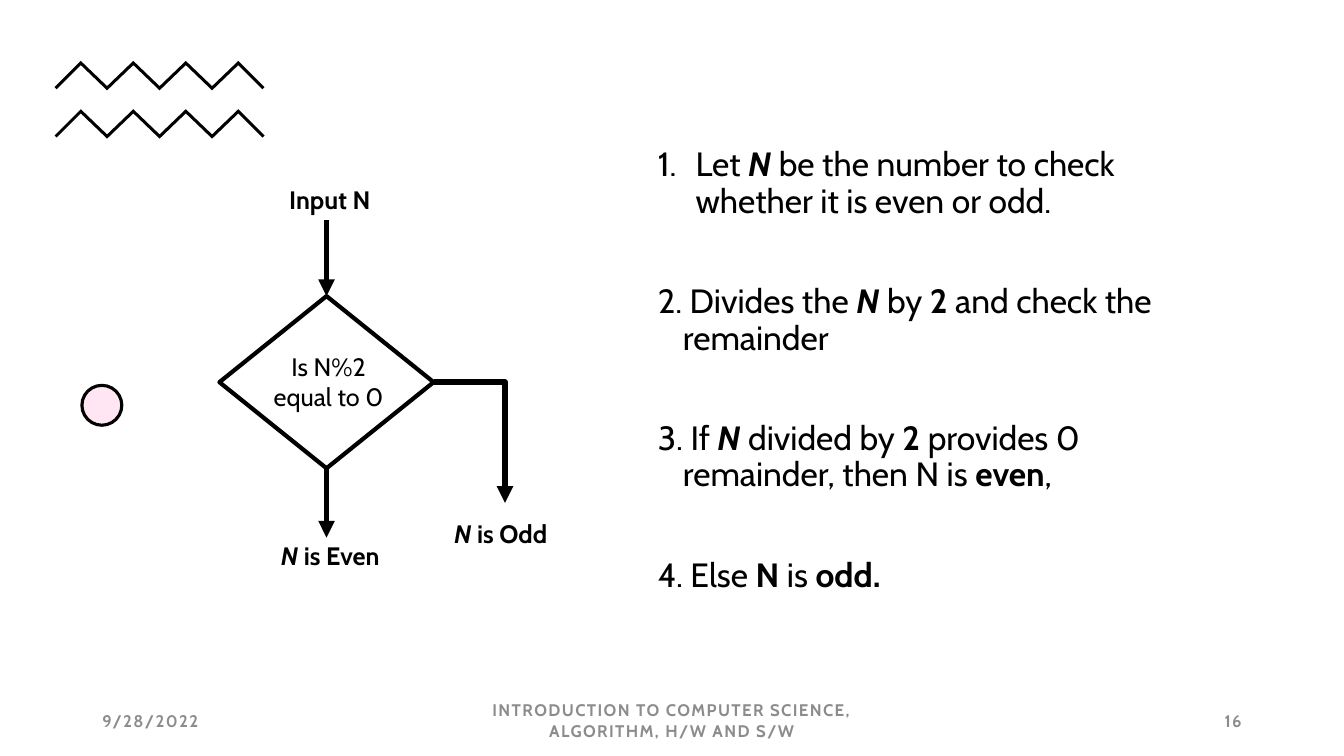
from dataclasses import dataclass
from typing import NamedTuple

from lxml.etree import SubElement
from pptx import Presentation
from pptx.dml.color import RGBColor
from pptx.enum.shapes import MSO_CONNECTOR, MSO_SHAPE
from pptx.enum.text import MSO_ANCHOR, MSO_AUTO_SIZE, PP_ALIGN
from pptx.oxml.ns import qn
from pptx.shapes.autoshape import Shape
from pptx.shapes.connector import Connector
from pptx.slide import Slide
from pptx.text.text import TextFrame, _Paragraph
from pptx.util import Emu, Pt

PX = 9525


@dataclass(frozen=True)
class Theme:
    font: str = "Cabin"
    ink: RGBColor = RGBColor(0x00, 0x00, 0x00)
    paper: RGBColor = RGBColor(0xFF, 0xFF, 0xFF)
    blush: RGBColor = RGBColor(0xFF, 0xE6, 0xF2)
    muted: RGBColor = RGBColor(0x8C, 0x8C, 0x8C)
    step_size: int = 24
    label_size: int = 18
    footer_size: int = 12
    circle_line: float = 2.25
    diamond_line: float = 3
    arrow_line: float = 4


THEME = Theme()


class Box(NamedTuple):
    left: int
    top: int
    width: int
    height: int


class Span(NamedTuple):
    text: str
    bold: bool = False
    italic: bool = False


class Step(NamedTuple):
    spans: list[Span]
    hanging: int = 24
    space_before: int = 46
    numbered: bool = False


class Label(NamedTuple):
    box: Box
    lines: list[list[Span]]
    align: PP_ALIGN = PP_ALIGN.LEFT


class Footer(NamedTuple):
    box: Box
    text: str
    align: PP_ALIGN


VARIABLE = Span("N", bold=True, italic=True)

STEPS_BOX = Box(617, 136, 548, 457)
STEPS = [
    Step([Span("Let "), VARIABLE,
          Span(" be the number to check whether it is even or odd.")],
         hanging=36, space_before=10, numbered=True),
    Step([Span("2. Divides the "), VARIABLE, Span(" by "), Span("2", True),
          Span(" and check the remainder")]),
    Step([Span("3. If "), VARIABLE, Span(" divided by "), Span("2", True),
          Span(" provides 0 remainder, then N is"), Span(" even", True), Span(",")]),
    Step([Span("4. Else "), Span("N", True), Span(" is "), Span("odd.", True)]),
]

LABELS = [
    Label(Box(266, 171, 103, 38), [[Span("Input N", True)]]),
    Label(Box(250, 330, 126, 68), [[Span("Is N%2")], [Span("equal to 0")]],
          PP_ALIGN.CENTER),
    Label(Box(258, 510, 129, 38), [[VARIABLE, Span(" is Even", True)]]),
    Label(Box(423, 489, 119, 38), [[VARIABLE, Span(" is Odd", True)]]),
]

FOOTERS = [
    Footer(Box(88, 667, 288, 38), "9/28/2022", PP_ALIGN.LEFT),
    Footer(Box(424, 667, 432, 38),
           "INTRODUCTION TO COMPUTER SCIENCE, ALGORITHM, H/W AND S/W", PP_ALIGN.CENTER),
    Footer(Box(904, 667, 288, 38), "16", PP_ALIGN.RIGHT),
]

ZIGZAG_TOPS = (58, 104)
DIAMOND = Box(209, 282, 204, 164)
CIRCLE = Box(78, 367, 38, 38)


def px(length: int) -> Emu:
    return Emu(length * PX)


def add_text_frame(slide: Slide, box: Box) -> TextFrame:
    frame = slide.shapes.add_textbox(*map(px, box)).text_frame
    frame.word_wrap = True
    return frame


def next_paragraph(frame: TextFrame, index: int) -> _Paragraph:
    return frame.add_paragraph() if index else frame.paragraphs[0]


def write_spans(paragraph: _Paragraph, spans: list[Span], size: int,
                color: RGBColor = THEME.ink) -> None:
    for span in spans:
        run = paragraph.add_run()
        run.text = span.text
        run.font.name = THEME.font
        run.font.size = Pt(size)
        run.font.bold = span.bold
        run.font.italic = span.italic
        run.font.color.rgb = color


def add_outlined(slide: Slide, preset: MSO_SHAPE, box: Box,
                 fill: RGBColor, line_width: float) -> Shape:
    shape = slide.shapes.add_shape(preset, *map(px, box))
    shape.shadow.inherit = False
    shape.fill.solid()
    shape.fill.fore_color.rgb = fill
    shape.line.color.rgb = THEME.ink
    shape.line.width = Pt(line_width)
    return shape


def add_zigzag(slide: Slide, top: int) -> None:
    """Draw a band of four peaks as one filled outline."""
    thickness, rise = 4, 24
    ridge = [(77 + 25 * i, top + rise * (i % 2)) for i in range(7)]
    underside = [(x, y + thickness) for x, y in reversed(ridge)]
    outline = [*ridge, (252, top + 25), (250, top + 27), *underside, (54, top + 27)]
    builder = slide.shapes.build_freeform(52, top + 25, scale=PX)
    builder.add_line_segments(outline, close=True)
    band = builder.convert_to_shape()
    band.shadow.inherit = False
    band.fill.solid()
    band.fill.fore_color.rgb = THEME.ink
    band.line.fill.background()


def add_arrow(slide: Slide, kind: MSO_CONNECTOR, start: tuple[int, int],
              end: tuple[int, int]) -> Connector:
    arrow = slide.shapes.add_connector(kind, *map(px, start + end))
    arrow.line.color.rgb = THEME.ink
    arrow.line.width = Pt(THEME.arrow_line)
    properties = arrow._element.spPr
    SubElement(properties.find(qn("a:ln")), qn("a:tailEnd"), type="triangle")
    SubElement(properties, qn("a:effectLst"))
    return arrow


def add_flowchart(slide: Slide) -> None:
    diamond = add_outlined(slide, MSO_SHAPE.DIAMOND, DIAMOND,
                           THEME.paper, THEME.diamond_line)
    center = DIAMOND.left + DIAMOND.width // 2
    middle = DIAMOND.top + DIAMOND.height // 2
    right, bottom = DIAMOND.left + DIAMOND.width, DIAMOND.top + DIAMOND.height

    to_question = add_arrow(slide, MSO_CONNECTOR.STRAIGHT, (center, 210), (center, DIAMOND.top))
    to_question.end_connect(diamond, 0)
    to_even = add_arrow(slide, MSO_CONNECTOR.STRAIGHT, (center, bottom), (center, 512))
    to_even.begin_connect(diamond, 2)
    to_odd = add_arrow(slide, MSO_CONNECTOR.ELBOW, (right, middle), (481, 479))
    to_odd._element.spPr.find(qn("a:prstGeom")).set("prst", "bentConnector2")

    for label in LABELS:
        frame = add_text_frame(slide, label.box)
        frame.word_wrap = False
        frame.auto_size = MSO_AUTO_SIZE.SHAPE_TO_FIT_TEXT
        for index, spans in enumerate(label.lines):
            paragraph = next_paragraph(frame, index)
            paragraph.alignment = label.align
            write_spans(paragraph, spans, THEME.label_size)


def add_steps(slide: Slide) -> None:
    frame = add_text_frame(slide, STEPS_BOX)
    for index, step in enumerate(STEPS):
        paragraph = next_paragraph(frame, index)
        paragraph.line_spacing = 0.9
        paragraph.space_before = Pt(step.space_before)
        write_spans(paragraph, step.spans, THEME.step_size)
        properties = paragraph._p.get_or_add_pPr()
        properties.set("marL", str(px(step.hanging)))
        properties.set("indent", str(-px(step.hanging)))
        if step.numbered:
            SubElement(properties, qn("a:buFont"), typeface=THEME.font)
            SubElement(properties, qn("a:buAutoNum"), type="arabicPeriod")


def add_footer(slide: Slide, footer: Footer) -> None:
    frame = add_text_frame(slide, footer.box)
    frame.vertical_anchor = MSO_ANCHOR.MIDDLE
    paragraph = frame.paragraphs[0]
    paragraph.alignment = footer.align
    write_spans(paragraph, [Span(footer.text, True)], THEME.footer_size, THEME.muted)
    paragraph.runs[0]._r.get_or_add_rPr().set("spc", "100")


def main() -> None:
    deck = Presentation()
    deck.slide_width, deck.slide_height = px(1280), px(720)
    slide = deck.slides.add_slide(deck.slide_layouts[6])
    add_outlined(slide, MSO_SHAPE.OVAL, CIRCLE, THEME.blush, THEME.circle_line)
    for top in ZIGZAG_TOPS:
        add_zigzag(slide, top)
    add_steps(slide)
    for footer in FOOTERS:
        add_footer(slide, footer)
    add_flowchart(slide)
    deck.save("out.pptx")


if __name__ == "__main__":
    main()
